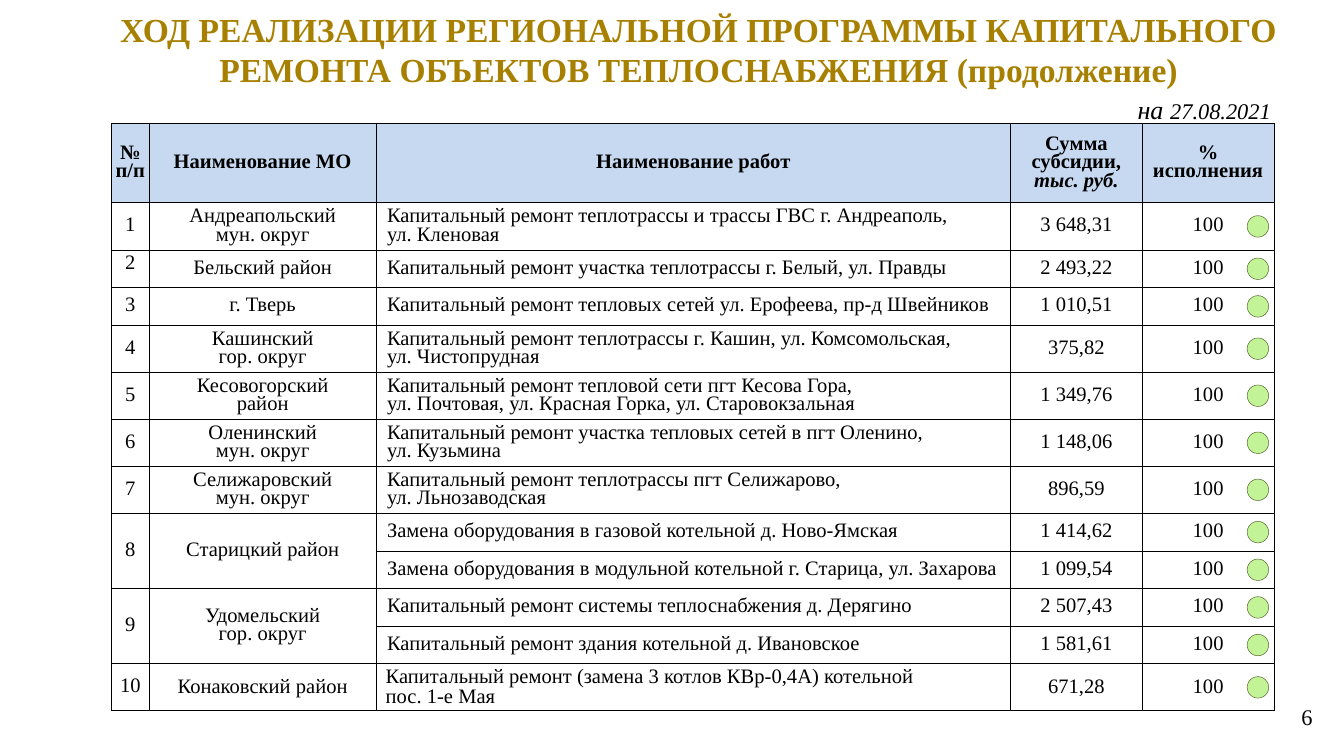
from pptx import Presentation
from pptx import util as u
from pptx.dml.color import RGBColor
from pptx.enum import shapes, text
from pptx.oxml import parse_xml
from pptx.oxml.ns import nsdecls

# Widescreen slide, 16:9
WIDTH = u.Inches(10)
HEIGHT = WIDTH * 9 // 16
FONT = "Times New Roman"
BLACK = RGBColor(0x00, 0x00, 0x00)
WHITE = RGBColor(0xFF, 0xFF, 0xFF)
GOLD = RGBColor(0xA8, 0x80, 0x00)
HEADER_BLUE = RGBColor(0xC6, 0xD9, 0xF1)
DOT_GREEN = RGBColor(0xC3, 0xF3, 0x97)
DOT_OUTLINE = RGBColor(0x4F, 0x62, 0x28)

# Grid of the table, in inches
COLUMNS = [0.28, 1.69, 4.72, 0.98, 0.98]
HEADER_ROW, TALL_ROW, LOW_ROW = 0.59, 0.35, 0.28
DOT_SIZE, DOT_GAP = 0.16, 0.04

TITLE = ("ХОД РЕАЛИЗАЦИИ РЕГИОНАЛЬНОЙ ПРОГРАММЫ КАПИТАЛЬНОГО РЕМОНТА "
         "ОБЪЕКТОВ ТЕПЛОСНАБЖЕНИЯ (продолжение)")
HEADERS = ["№\nп/п", "Наименование МО", "Наименование работ",
           [[("Сумма субсидии,", {})], [("тыс. руб.", {"italic": True})]],
           "%\nисполнения"]

# District, then its works with their subsidies
DISTRICTS = [
    ("Андреапольский\nмун. округ", [
        ("Капитальный ремонт теплотрассы и трассы ГВС г. Андреаполь,\nул. Кленовая", "3 648,31")]),
    ("Бельский район", [
        ("Капитальный ремонт участка теплотрассы г. Белый, ул. Правды", "2 493,22")]),
    ("г. Тверь", [
        ("Капитальный ремонт тепловых сетей ул. Ерофеева, пр-д Швейников", "1 010,51")]),
    ("Кашинский\nгор. округ", [
        ("Капитальный ремонт теплотрассы г. Кашин, ул. Комсомольская,\nул. Чистопрудная", "375,82")]),
    ("Кесовогорский\nрайон", [
        ("Капитальный ремонт тепловой сети пгт Кесова Гора,\n"
         "ул. Почтовая, ул. Красная Горка, ул. Старовокзальная", "1 349,76")]),
    ("Оленинский\nмун. округ", [
        ("Капитальный ремонт участка тепловых сетей в пгт Оленино,\nул. Кузьмина", "1 148,06")]),
    ("Селижаровский\nмун. округ", [
        ("Капитальный ремонт теплотрассы пгт Селижарово,\nул. Льнозаводская", "896,59")]),
    ("Старицкий район", [
        ("Замена оборудования в газовой котельной д. Ново-Ямская", "1 414,62"),
        ("Замена оборудования в модульной котельной г. Старица, ул. Захарова", "1 099,54")]),
    ("Удомельский\nгор. округ", [
        ("Капитальный ремонт системы теплоснабжения д. Дерягино", "2 507,43"),
        ("Капитальный ремонт здания котельной д. Ивановское", "1 581,61")]),
    ("Конаковский район", [
        ("Капитальный ремонт (замена 3 котлов КВр-0,4А) котельной\nпос. 1-е Мая", "671,28")]),
]


def write(frame, content, size=11, color=BLACK, bold=False, italic=False,
          align=text.PP_ALIGN.CENTER, spacing=1.0):
    """Write a string, or paragraphs made of (text, format) runs."""
    if isinstance(content, str):
        content = [[(line, {})] for line in content.split("\n")]
    for index, runs in enumerate(content):
        paragraph = frame.add_paragraph() if index else frame.paragraphs[0]
        paragraph.alignment, paragraph.line_spacing = align, spacing
        for words, changes in runs:
            run = paragraph.add_run()
            run.text = words
            font = run.font
            font.name, font.size = FONT, u.Pt(changes.get("size", size))
            font.bold, font.italic = bold, changes.get("italic", italic)
            font.color.rgb = color


def prepare(frame, anchor, margins=(0.1, 0.05)):
    frame.word_wrap = True
    frame.auto_size = text.MSO_AUTO_SIZE.NONE
    frame.vertical_anchor = anchor
    frame.margin_left = frame.margin_right = u.Inches(margins[0])
    frame.margin_top = frame.margin_bottom = u.Inches(margins[1])


def add_title(slide, left, top, width, height):
    title = slide.shapes.title
    title.left, title.top, title.width, title.height = left, top, width, height
    prepare(title.text_frame, text.MSO_ANCHOR.TOP)
    write(title.text_frame, TITLE, size=18, color=GOLD, bold=True)


def add_label(slide, box, content, anchor, margins, **style):
    frame = slide.shapes.add_textbox(*box).text_frame
    prepare(frame, anchor, margins)
    write(frame, content, **style)


def fill_cell(cell, content, fill, margins, anchor=text.MSO_ANCHOR.MIDDLE, **style):
    """Give a cell its borders, fill, margins (left, vertical, right) and text."""
    properties = cell._tc.get_or_add_tcPr()
    for side in ("lnL", "lnR", "lnT", "lnB"):
        properties.append(parse_xml(
            f'<a:{side} {nsdecls("a")} w="{u.Pt(0.5)}"><a:solidFill>'
            f'<a:srgbClr val="{BLACK}"/></a:solidFill></a:{side}>'))
    cell.fill.solid()
    cell.fill.fore_color.rgb = fill
    left, vertical, right = margins
    cell.margin_left, cell.margin_right = u.Inches(left), u.Inches(right)
    cell.margin_top = cell.margin_bottom = u.Inches(vertical)
    cell.vertical_anchor = anchor
    if content:
        write(cell.text_frame, content, **style)


def table_rows():
    """List (number, district, work, subsidy, span) for each table row."""
    rows = []
    for number, (district, works) in enumerate(DISTRICTS, 1):
        for index, (work, subsidy) in enumerate(works):
            first = index == 0
            rows.append((str(number) if first else "", district if first else "",
                         work, subsidy, len(works) if first else 0))
    return rows


def add_dot(slide, right, middle):
    size = u.Inches(DOT_SIZE)
    dot = slide.shapes.add_shape(shapes.MSO_SHAPE.FLOWCHART_CONNECTOR,
                                 right - size, middle - size // 2, size, size)
    dot.shadow.inherit = False
    dot.fill.solid()
    dot.fill.fore_color.rgb = DOT_GREEN
    dot.line.color.rgb = DOT_OUTLINE
    dot.line.width = u.Pt(0.25)


def add_progress_table(slide, left, top):
    rows = table_rows()
    heights = [HEADER_ROW] + [TALL_ROW if "\n" in row[2] else LOW_ROW for row in rows]
    width = u.Inches(sum(COLUMNS))
    table = slide.shapes.add_table(len(heights), len(COLUMNS), left, top, width,
                                   u.Inches(sum(heights))).table
    for column, size in zip(table.columns, COLUMNS):
        column.width = u.Inches(size)
    for row, size in zip(table.rows, heights):
        row.height = u.Inches(size)

    # Header row
    for column, header in enumerate(HEADERS):
        fill_cell(table.cell(0, column), header, HEADER_BLUE, (0, 0.05, 0),
                  bold=True, spacing=0.8)

    # Body rows, each with a dot at its right end
    row_top = top + u.Inches(HEADER_ROW)
    for index, (number, district, work, subsidy, span) in enumerate(rows, 1):
        last = index == len(rows)
        for column, content in enumerate([number, district, work, subsidy, "100"]):
            margins = (0.04, 0.04, 0.04)
            if column in (1, 2):
                margins = (0.08 if column == 2 else 0.04, 0, 0.04)
            if last and column:
                margins = (0.07, 0, 0.07)
            fill_cell(
                table.cell(index, column), content, WHITE, margins,
                anchor=text.MSO_ANCHOR.TOP if (column, number) == (0, "2") else text.MSO_ANCHOR.MIDDLE,
                align=text.PP_ALIGN.LEFT if column == 2 else text.PP_ALIGN.CENTER,
                spacing=0.9 if last and column else 0.8)
        if span > 1:
            for column in (0, 1):
                table.cell(index, column).merge(table.cell(index + span - 1, column))
        row_height = u.Inches(heights[index])
        add_dot(slide, left + width - u.Inches(DOT_GAP), row_top + row_height // 2)
        row_top += row_height


def share(left, top, width, height):
    """Turn percentages of the slide's size into lengths."""
    return (int(WIDTH * left / 100), int(HEIGHT * top / 100),
            int(WIDTH * width / 100), int(HEIGHT * height / 100))


def main():
    presentation = Presentation()
    presentation.slide_width, presentation.slide_height = WIDTH, HEIGHT
    slide = presentation.slides.add_slide(presentation.slide_layouts[5])

    add_title(slide, *share(6.7, 0.3, 90.6, 12.6))
    add_progress_table(slide, u.Inches(0.83), u.Inches(0.92))
    add_label(slide, share(82.7, 11.5, 13.8, 6),
              [[("на ", {"size": 14}), ("27.08.2021", {})]],
              text.MSO_ANCHOR.TOP, (0.1, 0.05), size=12, italic=True)
    add_label(slide, share(95.7, 92, 3.1, 5.5), "6",
              text.MSO_ANCHOR.MIDDLE, (0.05, 0.03), size=12)
    presentation.save("out.pptx")


if __name__ == "__main__":
    main()
